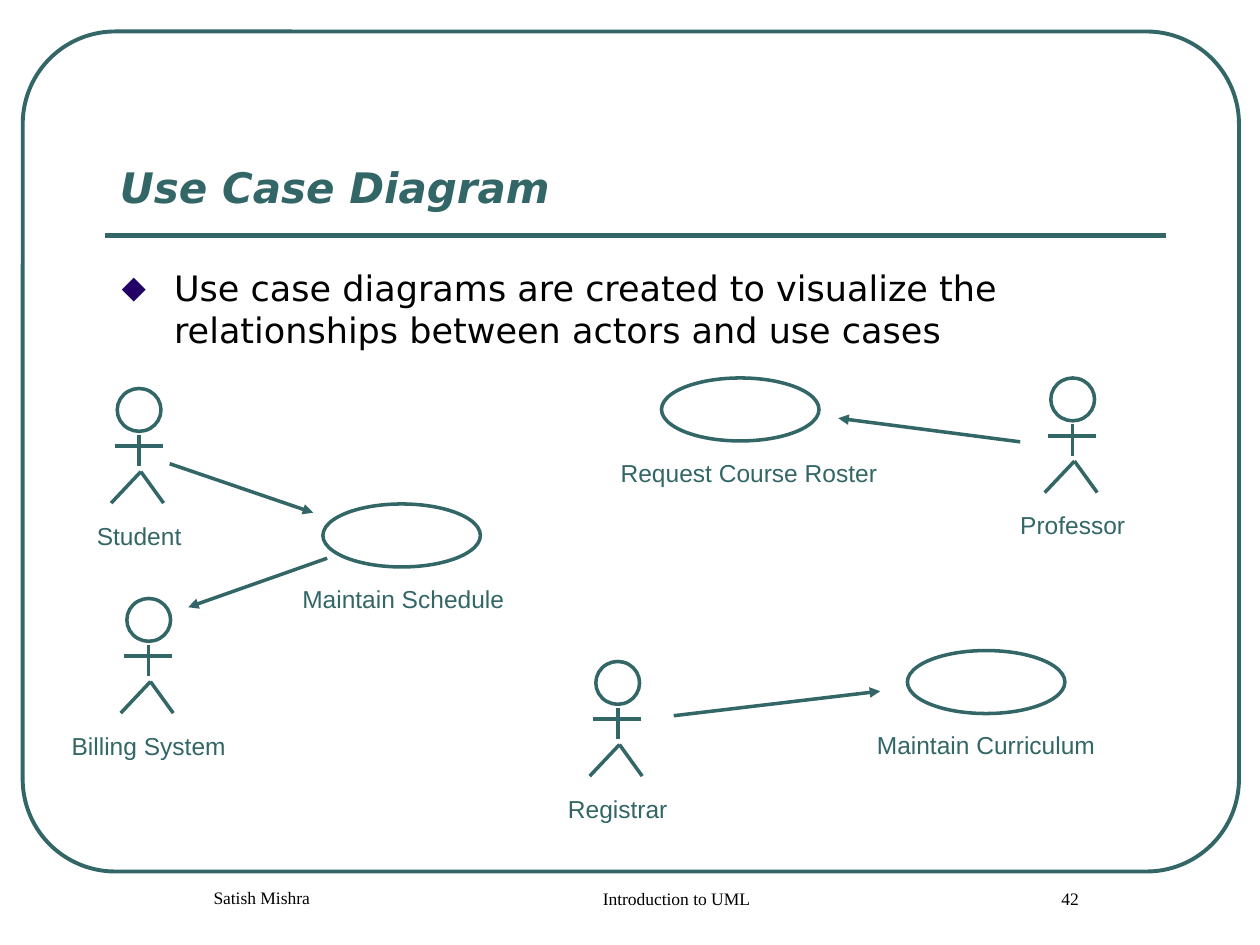
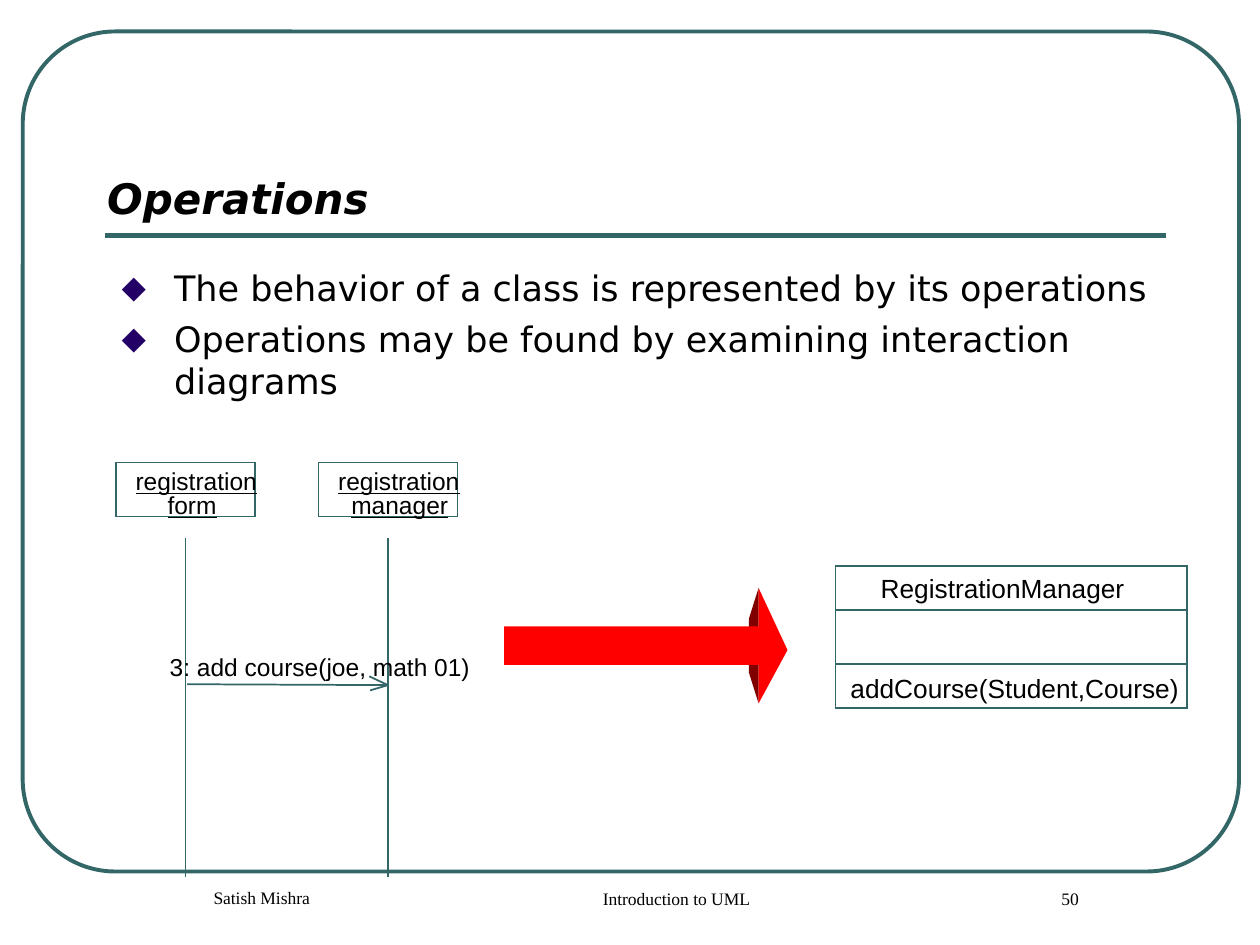
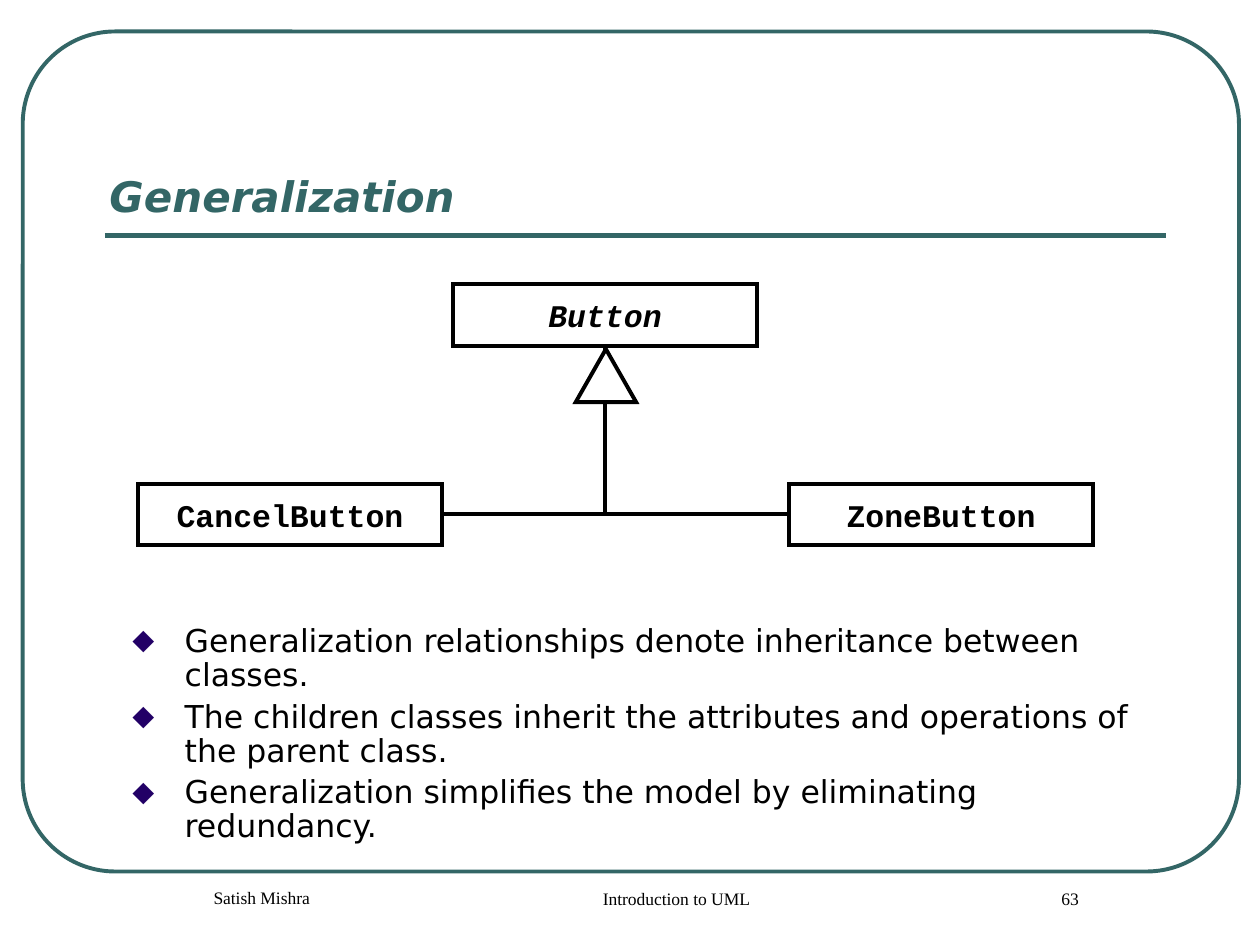
from dataclasses import dataclass
from typing import NamedTuple

from lxml.etree import SubElement
from pptx import Presentation
from pptx.dml.color import RGBColor
from pptx.enum.shapes import MSO_CONNECTOR as Connector, MSO_SHAPE as Preset
from pptx.enum.text import MSO_ANCHOR as Anchor, PP_ALIGN as Align
from pptx.oxml.ns import qn
from pptx.util import Pt

TEAL = RGBColor(0x33, 0x66, 0x66)
BLACK = RGBColor(0, 0, 0)
WHITE = RGBColor(0xFF, 0xFF, 0xFF)
INDIGO = RGBColor(0x22, 0x00, 0x66)
RED = RGBColor(0xFF, 0, 0)
MAROON = RGBColor(0x80, 0, 0)

BODY_FONT = "DejaVu Sans"
BULLET_INDENT = 30
FOOTER_INDENT = 17
FOOTER_TOP = 504


class Box(NamedTuple):
    left: float
    top: float
    width: float
    height: float


class Point(NamedTuple):
    x: float
    y: float


class Inset(NamedTuple):
    side: float
    end: float


NO_INSET = Inset(0, 0)
TIGHT_INSET = Inset(4.5, 1.5)
NORMAL_INSET = Inset(7.2, 3.6)
BODY_INSET = Inset(8.5, 4)


@dataclass(frozen=True)
class Style:
    font: str
    size: float
    color: RGBColor = BLACK
    bold: bool = False
    italic: bool = False
    underline: bool = False


LABEL = Style("Arial", 14, TEAL)
FOOTER = Style("Times New Roman", 10)
CODE = Style("Courier New", 18, bold=True)
ABSTRACT_CODE = Style("Courier New", 18, bold=True, italic=True)
OBJECT_NAME = Style("Arial", 14, underline=True)
MESSAGE = Style("Arial", 14)
MEMBER = Style("Arial", 15)


@dataclass(frozen=True)
class Actor:
    name: str
    left: float
    top: float
    label_width: float


@dataclass(frozen=True)
class UseCase:
    name: str
    left: float
    top: float
    label_left: float
    label_width: float


@dataclass(frozen=True)
class Participant:
    left: float
    second_word: str
    second_left: float


@dataclass(frozen=True)
class ClassBox:
    name: str
    left: float
    top: float
    style: Style


ACTORS = [
    Actor("Student", 67, 222, 70),
    Actor("Registrar", 340.5, 378, 78),
    Actor("Professor", 600.5, 216, 82),
    Actor("Billing System", 72.5, 342, 110),
]
USE_CASES = [
    UseCase("Maintain Schedule", 184.5, 288, 161.5, 138),
    UseCase("Maintain Curriculum", 518.5, 371.75, 490, 147),
    UseCase("Request Course Roster", 378, 216, 343.5, 169),
]
ASSOCIATIONS = [
    (Point(583, 252.5), Point(479, 239)),
    (Point(97, 265), Point(179, 293)),
    (Point(187, 319), Point(107.5, 347)),
    (Point(385, 409), Point(503, 395)),
]
PARTICIPANTS = [
    Participant(66.25, "form", 95.75),
    Participant(182, "manager", 200.75),
]
CLASS_BOXES = [
    ClassBox("Button", 259, 162.5, ABSTRACT_CODE),
    ClassBox("ZoneButton", 451, 276.5, CODE),
    ClassBox("CancelButton", 79, 276.5, CODE),
]


def points(values) -> list:
    return [Pt(value) for value in values]


def apply_style(para, style: Style) -> None:
    for span in para.runs:
        font = span.font
        font.name, font.size = style.font, Pt(style.size)
        font.bold, font.italic, font.underline = style.bold, style.italic, style.underline
        font.color.rgb = style.color


def add_text(slide, text: str, box: Box, style: Style, align=Align.LEFT,
             inset: Inset = NO_INSET, anchor=Anchor.TOP):
    """Add a text box with one paragraph per line and return its frame."""
    frame = slide.shapes.add_textbox(*points(box)).text_frame
    frame.word_wrap = True
    frame.vertical_anchor = anchor
    frame.margin_left = frame.margin_right = Pt(inset.side)
    frame.margin_top = frame.margin_bottom = Pt(inset.end)
    frame.text = text
    for para in frame.paragraphs:
        para.alignment = align
        apply_style(para, style)
    return frame


def add_outline(slide, preset, box: Box, color: RGBColor, weight: float):
    """Add an unfilled preset shape with sharp line joins."""
    shape = slide.shapes.add_shape(preset, *points(box))
    shape.shadow.inherit = False
    shape.fill.background()
    shape.line.color.rgb = color
    shape.line.width = Pt(weight)
    SubElement(shape.line._get_or_add_ln(), qn("a:miter"), lim="800000")
    return shape


def add_line(slide, start: Point, end: Point, weight: float, color: RGBColor = TEAL,
             kind=Connector.STRAIGHT):
    line = slide.shapes.add_connector(kind, *points(start + end))
    line.line.color.rgb = color
    line.line.width = Pt(weight)
    SubElement(line._element.spPr, qn("a:effectLst"))
    return line


def add_arrow(slide, start: Point, end: Point) -> None:
    arrow = add_line(slide, start, end, 2)
    SubElement(arrow.line._get_or_add_ln(), qn("a:tailEnd"), type="triangle")


def add_elbow(slide, start: Point, end: Point, quarter_turns: int = 0) -> None:
    """Add a connector with a single corner, turned clockwise about its centre."""
    elbow = add_line(slide, start, end, 2.25, BLACK, Connector.ELBOW)
    properties = elbow._element.spPr
    properties.find(qn("a:prstGeom")).set("prst", "bentConnector2")
    if quarter_turns:
        properties.find(qn("a:xfrm")).set("rot", str(quarter_turns * 5400000))


def add_polygon(slide, corners: list, color: RGBColor) -> None:
    first, *rest = [tuple(points(corner)) for corner in corners]
    builder = slide.shapes.build_freeform(*first, scale=1.0)
    builder.add_line_segments(rest, close=True)
    shape = builder.convert_to_shape()
    shape.shadow.inherit = False
    shape.fill.solid()
    shape.fill.fore_color.rgb = color
    shape.line.fill.background()


def add_bullets(slide, lines: list, box: Box, size: float, inset: Inset,
                gap: float, line_spacing: float = 1.0) -> None:
    frame = add_text(slide, "\n".join(lines), box, Style(BODY_FONT, size), inset=inset)
    for index, para in enumerate(frame.paragraphs):
        properties = para._p.get_or_add_pPr()
        properties.set("marL", str(Pt(BULLET_INDENT)))
        properties.set("indent", str(-Pt(BULLET_INDENT)))
        bullet_color = SubElement(properties, qn("a:buClr"))
        SubElement(bullet_color, qn("a:srgbClr"), val=str(INDIGO))
        SubElement(properties, qn("a:buFont"), typeface=BODY_FONT)
        SubElement(properties, qn("a:buChar"), char="⬥")
        para.line_spacing = line_spacing
        if index:
            para.space_before = Pt(gap)


def add_page(deck, title: str, title_box: Box, number: int, color: RGBColor = TEAL,
             inset: Inset = TIGHT_INSET, anchor=Anchor.TOP):
    """Add a slide with the frame, title, rule and footers that all slides share."""
    page = deck.slides.add_slide(deck.slide_layouts[6])
    frame = add_outline(page, Preset.ROUNDED_RECTANGLE, Box(13, 18, 695, 480), TEAL, 2.25)
    frame.adjustments[0] = 0.11
    add_line(page, Point(60, 134.75), Point(666, 134.75), 3)
    title_style = Style(BODY_FONT, 24, color, bold=True, italic=True)
    add_text(page, title, title_box, title_style, inset=inset, anchor=anchor)
    footers = [
        ("Introduction to UML", 264, FOOTER_TOP, 228),
        (str(number), 540, FOOTER_TOP, 126),
        ("Satish Mishra", 60, FOOTER_TOP - 0.75, 162),
    ]
    for text, left, top, width in footers:
        footer = add_text(page, text, Box(left, top, width, 36), FOOTER,
                          Align.CENTER, NORMAL_INSET)
        properties = footer.paragraphs[0]._p.get_or_add_pPr()
        properties.set("marL", str(Pt(FOOTER_INDENT)))
        properties.set("indent", "0")
    return page


def add_label(slide, text: str, left: float, top: float, width: float) -> None:
    add_text(slide, text, Box(left, top, width, 24), LABEL, Align.CENTER,
             NORMAL_INSET, Anchor.MIDDLE)


def add_actor(slide, actor: Actor) -> None:
    left, top = actor.left, actor.top
    add_outline(slide, Preset.OVAL, Box(left, top, 25, 24.5), TEAL, 2)
    limbs = [
        ((13.5, 47.5), (-3.5, 65.5)),
        ((13.5, 47.5), (26.5, 65.5)),
        ((12.5, 26.5), (12.5, 44.5)),
        ((-1.5, 33), (26, 33)),
    ]
    for start, end in limbs:
        add_line(slide, Point(left + start[0], top + start[1]),
                 Point(left + end[0], top + end[1]), 2)
    add_label(slide, actor.name, left + 12.5 - actor.label_width / 2, top + 72,
              actor.label_width)


def add_use_case(slide, case: UseCase) -> None:
    add_outline(slide, Preset.OVAL, Box(case.left, case.top, 90, 36), TEAL, 2)
    add_label(slide, case.name, case.label_left, case.top + 42, case.label_width)


def add_participant(slide, participant: Participant) -> None:
    left = participant.left
    add_outline(slide, Preset.RECTANGLE, Box(left, 264.25, 79.5, 31), TEAL, 1)
    add_text(slide, "registration", Box(left + 11.25, 266.5, 75, 16.5), OBJECT_NAME)
    add_text(slide, participant.second_word,
             Box(participant.second_left, 280.25, 58, 16.5), OBJECT_NAME)
    add_line(slide, Point(left + 39.75, 307.5), Point(left + 39.75, 501), 1)


def build_use_case_diagram(deck) -> None:
    page = add_page(deck, "Use Case Diagram", Box(64, 90.75, 513, 32.5), 42)
    add_bullets(page, ["Use case diagrams are created to visualize the relationships "
                       "between actors and use cases"],
                Box(61, 148.5, 606, 318), 20, BODY_INSET, 5)
    for actor in ACTORS:
        add_actor(page, actor)
    for case in USE_CASES:
        add_use_case(page, case)
    for start, end in ASSOCIATIONS:
        add_arrow(page, start, end)


def build_operations(deck) -> None:
    page = add_page(deck, "Operations", Box(56.75, 97, 513, 32.5), 50, BLACK)
    add_bullets(page, ["The behavior of a class is represented by its operations",
                       "Operations may be found by examining interaction diagrams"],
                Box(61, 148.5, 606, 318), 20, BODY_INSET, 5)

    for participant in PARTICIPANTS:
        add_participant(page, participant)
    tip = Point(221.75, 391.5)
    for start in (Point(107, 391), Point(211.5, 394.5), Point(211, 386.5)):
        add_line(page, start, tip, 1)
    add_text(page, "3: add course(joe, math 01)", Box(97, 372.75, 180, 16.5), MESSAGE)

    add_polygon(page, [(433.5, 336), (433.5, 402), (428, 384.5), (428, 353.5)], MAROON)
    add_polygon(page, [(433.5, 358), (433.5, 336), (450, 371.5), (433.5, 402),
                       (433.5, 380), (288, 380), (288, 358)], RED)

    add_outline(page, Preset.RECTANGLE, Box(477.5, 323.25, 201, 81.5), TEAL, 1)
    add_text(page, "RegistrationManager", Box(503.25, 327, 146, 18), MEMBER)
    for y in (348.5, 379.25):
        add_line(page, Point(478, y), Point(677.5, y), 1)
    add_text(page, "addCourse(Student,Course)", Box(486, 384, 194, 18), MEMBER)


def build_generalization(deck) -> None:
    page = add_page(deck, "Generalization", Box(55.5, 77.75, 612, 52), 63,
                    inset=NORMAL_INSET, anchor=Anchor.BOTTOM)
    add_bullets(page, [
        "Generalization relationships denote inheritance between classes.",
        "The children classes inherit the attributes and operations of the parent class.",
        "Generalization simplifies the model by eliminating redundancy.",
    ], Box(68.5, 353.5, 612, 134.5), 18, NORMAL_INSET, 4.5, 0.9)

    for item in CLASS_BOXES:
        add_outline(page, Preset.RECTANGLE, Box(item.left, item.top, 173.5, 35),
                    BLACK, 2.25)
        add_text(page, item.name, Box(item.left + 12, item.top + 6.75, 149.5, 21.5),
                 item.style, Align.CENTER)
    add_elbow(page, Point(445, 194.25), Point(350, 298.25), quarter_turns=3)
    add_elbow(page, Point(253.5, 293.75), Point(345.75, 198.75))
    head = add_outline(page, Preset.ISOSCELES_TRIANGLE, Box(329, 199.5, 34.5, 30.25),
                       BLACK, 2.25)
    head.fill.solid()
    head.fill.fore_color.rgb = WHITE


def main() -> None:
    deck = Presentation()
    deck.slide_width, deck.slide_height = Pt(720), Pt(540)
    build_use_case_diagram(deck)
    build_operations(deck)
    build_generalization(deck)
    deck.save("out.pptx")


if __name__ == "__main__":
    main()
